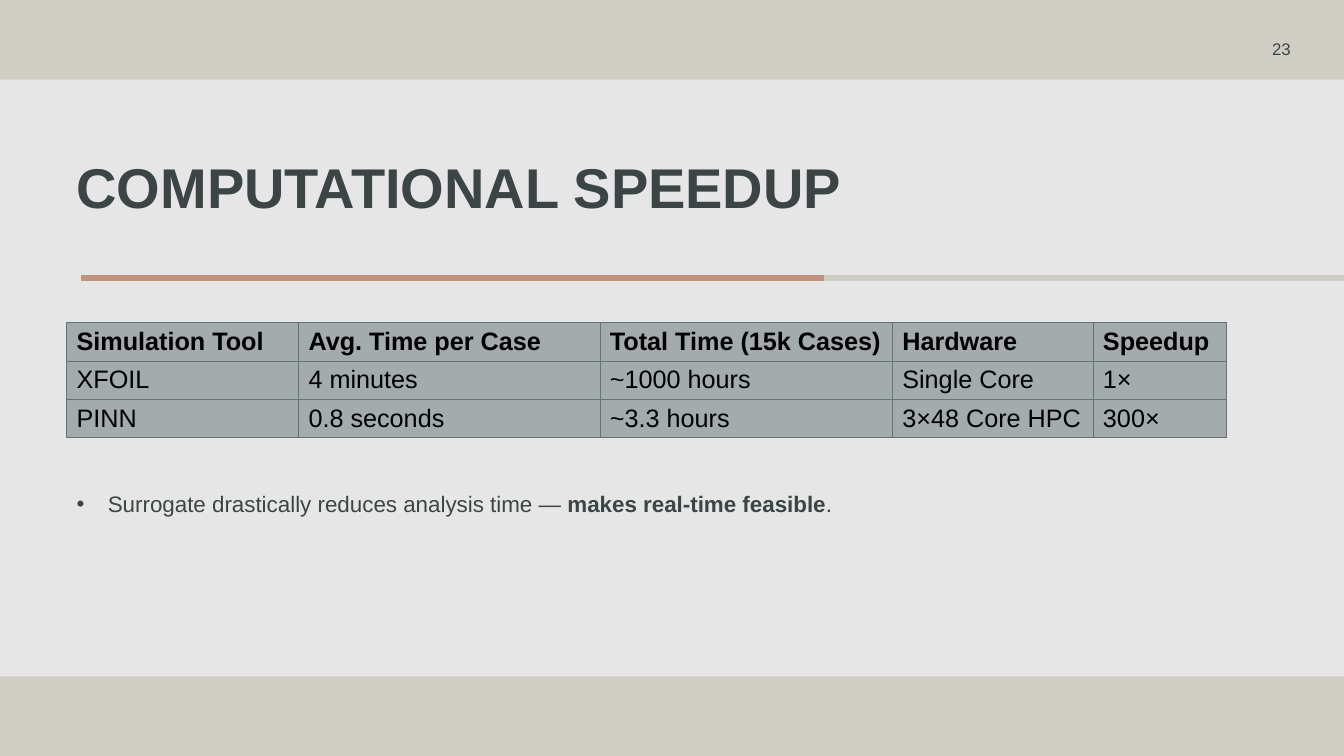
"""Build the Computational Speedup slide."""
from dataclasses import dataclass

from lxml import etree
from pptx import Presentation
from pptx.dml.color import RGBColor
from pptx.enum.shapes import MSO_CONNECTOR, MSO_SHAPE
from pptx.enum.text import MSO_ANCHOR, MSO_AUTO_SIZE, PP_ALIGN
from pptx.oxml import parse_xml
from pptx.oxml.ns import nsdecls, qn
from pptx.util import Inches, Pt


@dataclass(frozen=True)
class Theme:
    font: str = "Arial"
    band: str = "D0CDC5"
    panel: str = "E7E6E6"
    accent: str = "BE937E"
    ink: str = "3B4546"
    cell: str = "A3ABAC"
    border: str = "637376"
    black: str = "000000"
    title_size: int = 40
    table_size: int = 18
    body_size: int = 16
    number_size: int = 12


theme = Theme()


def style(paragraph, size, color, bold=None):
    font = paragraph.font
    font.name, font.size, font.bold = theme.font, Pt(size), bold
    font.color.rgb = RGBColor.from_string(color)


def place(shape, left, top, width, height):
    shape.left, shape.top = Inches(left), Inches(top)
    shape.width, shape.height = Inches(width), Inches(height)


presentation = Presentation()
presentation.slide_width = Inches(13.33)
presentation.slide_height = Inches(7.5)
slide = presentation.slides.add_slide(presentation.slide_layouts[1])
slide.background.fill.solid()
slide.background.fill.fore_color.rgb = RGBColor.from_string(theme.band)

panel = slide.shapes.add_shape(
    MSO_SHAPE.RECTANGLE, 0, Inches(0.79), Inches(13.33), Inches(5.92))
panel.shadow.inherit = False
panel.fill.solid()
panel.fill.fore_color.rgb = RGBColor.from_string(theme.panel)
panel.line.fill.background()
slide.shapes._spTree.remove(panel._element)
slide.shapes._spTree.insert(2, panel._element)

for start, end, color in [(13.33, 8.15, theme.band), (8.17, 0.8, theme.accent)]:
    rule = slide.shapes.add_connector(
        MSO_CONNECTOR.STRAIGHT, Inches(start), Inches(2.76), Inches(end), Inches(2.76))
    rule.line.color.rgb = RGBColor.from_string(color)
    rule.line.width = Pt(4.5)
    etree.SubElement(rule._element.spPr, qn("a:effectLst"))

number = slide.shapes.add_textbox(Inches(11.07), Inches(0.33), Inches(1.83), Inches(0.3))
number.text_frame.word_wrap = True
number.text_frame.vertical_anchor = MSO_ANCHOR.MIDDLE
paragraph = number.text_frame.paragraphs[0]
paragraph.text = "23"
paragraph.alignment = PP_ALIGN.RIGHT
style(paragraph, theme.number_size, theme.ink)

title = slide.shapes.title
place(title, 0.66, 1.6, 11.5, 0.63)
title.text_frame.text = "COMPUTATIONAL SPEEDUP"
title.text_frame.vertical_anchor = MSO_ANCHOR.BOTTOM
title.text_frame.auto_size = MSO_AUTO_SIZE.NONE
paragraph = title.text_frame.paragraphs[0]
paragraph.alignment = PP_ALIGN.LEFT
paragraph.line_spacing = 0.8
style(paragraph, theme.title_size, theme.ink, True)

body = slide.placeholders[1]
place(body, 0.66, 4.68, 9.88, 1.84)
body.text_frame.vertical_anchor = MSO_ANCHOR.TOP
body.text_frame.auto_size = MSO_AUTO_SIZE.NONE
paragraph = body.text_frame.paragraphs[0]
properties = paragraph._p.get_or_add_pPr()
properties.set("marL", str(Inches(0.31)))
properties.set("indent", str(Inches(-0.31)))
etree.SubElement(properties, qn("a:buChar")).set("char", "•")
paragraph.line_spacing = 1.5
paragraph.space_before = Pt(0)
style(paragraph, theme.body_size, theme.ink)
for text, bold in [("Surrogate drastically reduces analysis time — ", False),
                   ("makes real-time feasible", True), (".", False)]:
    run = paragraph.add_run()
    run.text = text
    run.font.bold = bold

rows = [
    ("Simulation Tool", "Avg. Time per Case", "Total Time (15k Cases)", "Hardware", "Speedup"),
    ("XFOIL", "4 minutes", "~1000 hours", "Single Core", "1×"),
    ("PINN", "0.8 seconds", "~3.3 hours", "3×48 Core HPC", "300×"),
]
widths = [2.3, 2.99, 2.9, 1.99, 1.32]
row_height = 0.38
table = slide.shapes.add_table(
    len(rows), len(widths), Inches(0.66), Inches(3.2),
    Inches(sum(widths)), Inches(row_height * len(rows))).table
for column, width in zip(table.columns, widths):
    column.width = Inches(width)
for row_index, texts in enumerate(rows):
    table.rows[row_index].height = Inches(row_height)
    for column_index, text in enumerate(texts):
        cell = table.cell(row_index, column_index)
        cell.text = text
        cell.vertical_anchor = MSO_ANCHOR.MIDDLE
        cell.margin_top = cell.margin_bottom = Inches(0.04)
        style(cell.text_frame.paragraphs[0], theme.table_size, theme.black, row_index == 0)
        cell_properties = cell._tc.get_or_add_tcPr()
        for side in ("lnL", "lnR", "lnT", "lnB"):
            cell_properties.append(parse_xml(
                f'<a:{side} {nsdecls("a")} w="{Pt(0.5)}"><a:solidFill>'
                f'<a:srgbClr val="{theme.border}"/></a:solidFill></a:{side}>'))
        cell.fill.solid()
        cell.fill.fore_color.rgb = RGBColor.from_string(theme.cell)

presentation.save("out.pptx")
